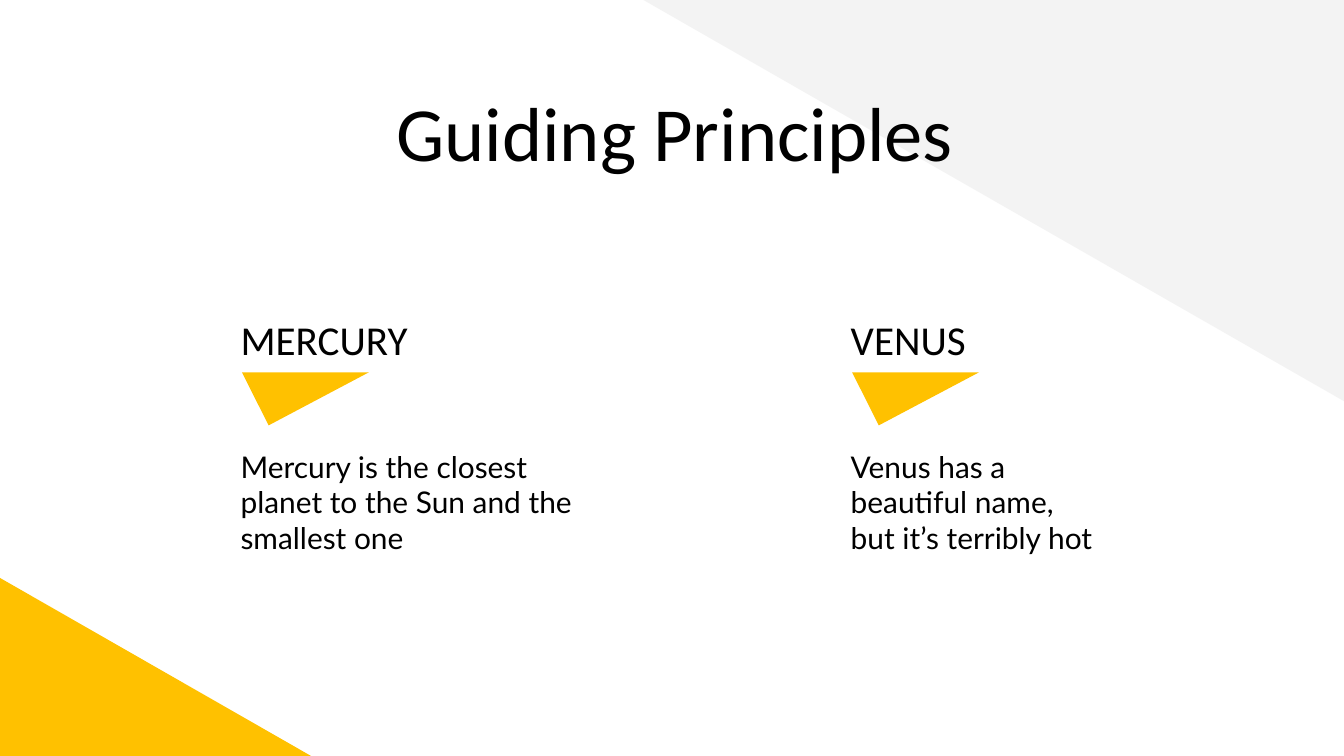
from pptx import Presentation
from pptx.dml.color import RGBColor
from pptx.enum import shapes, text
from pptx.util import Inches, Pt

YELLOW = RGBColor(0xFF, 0xC1, 0x00)
PALE_GREY = RGBColor(0xF3, 0xF3, 0xF3)
BLACK = RGBColor(0, 0, 0)

TITLE_ONLY = 5
INSET = Inches(0.2)

PRINCIPLES = [
    ("MERCURY", ["Mercury is the closest planet to the Sun and the smallest one"]),
    ("VENUS", ["Venus has a", "beautiful name,", "but it’s terribly hot"]),
]


def add_triangle(page, kind, box, color, rotation=0):
    triangle = page.shapes.add_shape(kind, *map(Inches, box))
    triangle.shadow.inherit = False
    triangle.rotation = rotation
    triangle.fill.solid()
    triangle.fill.fore_color.rgb = color
    triangle.line.fill.background()
    return triangle


def format_text(shape, lines, font_name, size, align=text.PP_ALIGN.LEFT, spacing=None):
    frame = shape.text_frame
    frame.text = "\n".join(lines)
    frame.word_wrap = True
    frame.auto_size = text.MSO_AUTO_SIZE.NONE
    frame.vertical_anchor = text.MSO_ANCHOR.TOP
    frame.margin_left = frame.margin_right = INSET
    frame.margin_top = frame.margin_bottom = INSET
    for para in frame.paragraphs:
        para.alignment = align
        para.line_spacing = spacing
        for span in para.runs:
            span.font.name = font_name
            span.font.size = Pt(size)
            span.font.color.rgb = BLACK


def add_backdrop(page, width, height):
    # Grey top-right corner and yellow bottom-left corner
    corner = shapes.MSO_SHAPE.RIGHT_TRIANGLE
    add_triangle(page, corner, (width - 10.46, -0.02, 10.46, 5.99), PALE_GREY, 180)
    add_triangle(page, corner, (0, height - 2.65, 4.63, 2.65), YELLOW)


def place_title(page, left, top, width, height):
    title = page.shapes.title
    title.left, title.top = Inches(left), Inches(top)
    title.width, title.height = Inches(width), Inches(height)
    format_text(title, ["Guiding Principles"], "Calibri", 82, text.PP_ALIGN.CENTER)
    # Bring the title in front of the backdrop
    title.element.getparent().append(title.element)


def add_principle(page, left, top, heading, lines):
    # Pointer under the heading
    pointer = add_triangle(page, shapes.MSO_SHAPE.ISOSCELES_TRIANGLE,
                           (left + 0.22, top + 1.17, 1.89, 0.79), YELLOW, 180)
    pointer.adjustments[0] = 0.79

    # Heading and description
    heading_box = page.shapes.add_textbox(
        Inches(left), Inches(top), Inches(4.08), Inches(1.08))
    format_text(heading_box, [heading], "Calibri", 44, spacing=1.15)
    body_box = page.shapes.add_textbox(
        Inches(left), Inches(top + 2.1), Inches(5.34), Inches(2.17))
    format_text(body_box, lines, "Lato", 32)


def main():
    deck = Presentation()
    deck.slide_width, deck.slide_height = Inches(20), Inches(11.25)
    page = deck.slides.add_slide(deck.slide_layouts[TITLE_ONLY])

    add_backdrop(page, 20, 11.25)
    place_title(page, 1.18, 1.07, 17.72, 1.25)
    for column, (heading, lines) in enumerate(PRINCIPLES):
        add_principle(page, 3.38 + column * 9.08, 4.37, heading, lines)

    deck.save("out.pptx")


if __name__ == "__main__":
    main()
